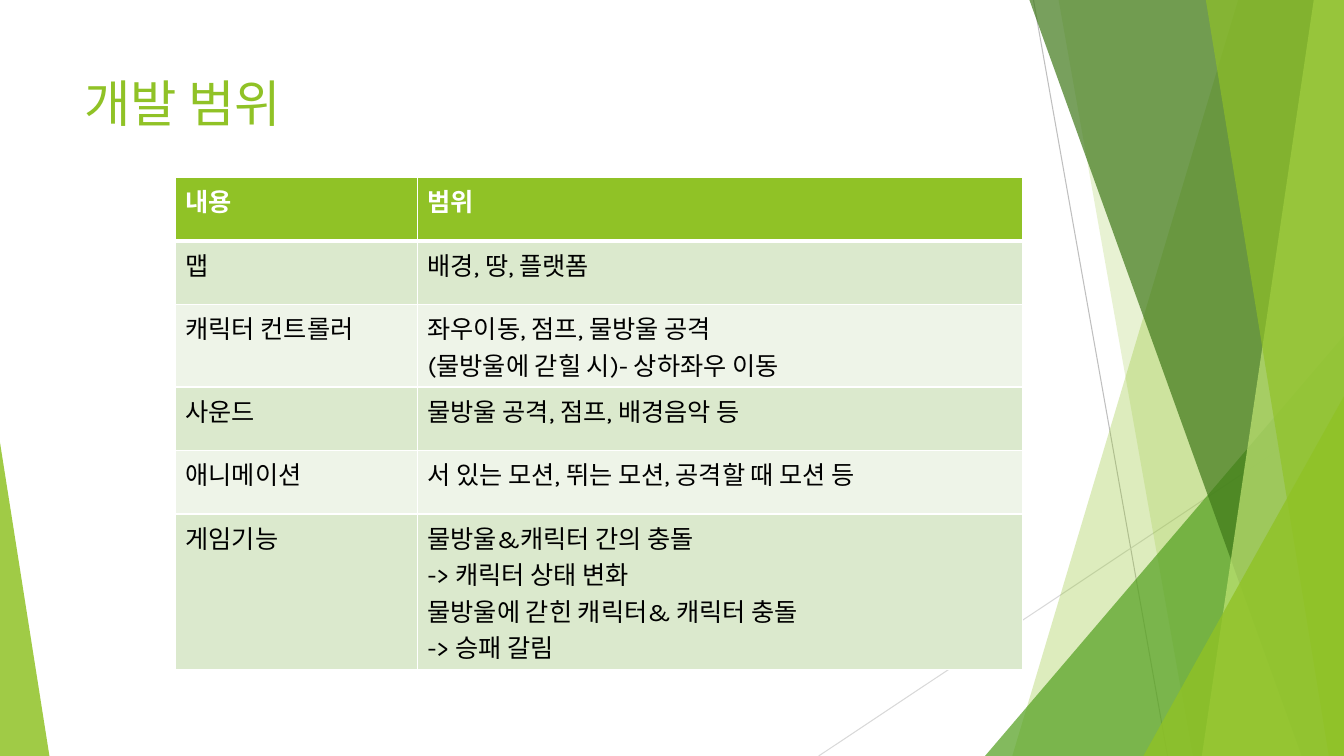
import dataclasses

import lxml.etree
import pptx
import pptx.dml.color
import pptx.enum.shapes
import pptx.oxml
import pptx.oxml.ns
import pptx.util

Inches = pptx.util.Inches
qn = pptx.oxml.ns.qn


@dataclasses.dataclass(frozen=True)
class Theme:
    font: str = "Karla"
    title_size: int = 36
    body_size: int = 18
    accent: str = "90C226"
    leaf: str = "54A021"
    forest: str = "3F7819"
    lime: str = "C0E474"
    band_dark: str = "DBE9CD"
    band_light: str = "EEF4E8"
    white: str = "FFFFFF"
    black: str = "000000"
    hairline: str = "BFBFBF"
    hairline_light: str = "D9D9D9"


THEME = Theme()
SLIDE_WIDTH, SLIDE_HEIGHT = 13.33, 7.5
SCOPE = [
    ("내용", ["범위"], 0.63),
    ("맵", ["배경, 땅, 플랫폼"], 0.63),
    ("캐릭터 컨트롤러", ["좌우이동, 점프, 물방울 공격", "(물방울에 갇힐 시)- 상하좌우 이동"], 0.82),
    ("사운드", ["물방울 공격, 점프, 배경음악 등"], 0.63),
    ("애니메이션", ["서 있는 모션, 뛰는 모션, 공격할 때 모션 등"], 0.63),
    ("게임기능", ["물방울&캐릭터 간의 충돌", "-> 캐릭터 상태 변화",
              "물방울에 갇힌 캐릭터& 캐릭터 충돌", "-> 승패 갈림"], 1.54),
]


def rgb(color):
    return pptx.dml.color.RGBColor.from_string(color)


def write_text(frame, lines, *, size, color, bold=False):
    frame.word_wrap = True
    for index, line in enumerate(lines):
        paragraph = frame.paragraphs[0] if index == 0 else frame.add_paragraph()
        run = paragraph.add_run()
        run.text = line
        run.font.name = THEME.font
        run.font.size = pptx.util.Pt(size)
        run.font.bold = bold
        run.font.color.rgb = rgb(color)


def tint(shape, color, opacity):
    shape.shadow.inherit = False
    shape.line.fill.background()
    shape.fill.solid()
    shape.fill.fore_color.rgb = rgb(color)
    swatch = shape.element.spPr.find(qn("a:solidFill")).find(qn("a:srgbClr"))
    lxml.etree.SubElement(swatch, qn("a:alpha"), val=str(opacity * 1000))


def add_hairline(slide, start, end, color):
    hairline = slide.shapes.add_connector(
        pptx.enum.shapes.MSO_CONNECTOR.STRAIGHT, *map(Inches, start + end))
    hairline.line.color.rgb = rgb(color)
    hairline.line.width = pptx.util.Pt(0.75)
    lxml.etree.SubElement(hairline.element.spPr, qn("a:effectLst"))


def add_blade(slide, box, top_x, bottom_x, color, opacity):
    left, top, width, height = box
    right, bottom = left + width, top + height
    builder = slide.shapes.build_freeform(Inches(left + top_x), Inches(top))
    corners = [(right, top), (right, bottom), (left + bottom_x, bottom)]
    builder.add_line_segments([(Inches(x), Inches(y)) for x, y in corners])
    tint(builder.convert_to_shape(), color, opacity)


def add_corner(slide, box, apex, color, opacity):
    corner = slide.shapes.add_shape(
        pptx.enum.shapes.MSO_SHAPE.ISOSCELES_TRIANGLE, *map(Inches, box))
    corner.adjustments[0] = apex
    tint(corner, color, opacity)


def add_right_corner(slide, box, width, height, color, opacity):
    left, top, box_width, box_height = box
    corner_box = (left + box_width - width, top + box_height - height, width, height)
    add_corner(slide, corner_box, 1, color, opacity)


def add_facets(slide, box):
    left, top, width, height = box
    right, bottom = left + width, top + height
    add_hairline(slide, (left + 2.13, top), (left + 3.46, bottom), THEME.hairline)
    add_hairline(slide, (right, top + 4.03), (left, bottom), THEME.hairline_light)
    add_blade(slide, box, 4.16, 1.92, THEME.accent, 30)
    add_blade(slide, box, 2.38, 3.71, THEME.accent, 20)
    add_right_corner(slide, box, 3.56, 4.17, THEME.leaf, 72)
    add_blade(slide, box, 2.09, 4.79, THEME.forest, 70)
    add_blade(slide, box, 4.91, 3.8, THEME.lime, 70)
    add_blade(slide, box, 3.84, 5.06, THEME.accent, 65)
    add_right_corner(slide, box, 1.99, 3.57, THEME.accent, 80)


def add_title(slide, box):
    title = slide.shapes.add_textbox(*map(Inches, box))
    write_text(title.text_frame, ["개발 범위"], size=THEME.title_size, color=THEME.accent)


def add_borders(cell, bottom_width):
    properties = cell._tc.get_or_add_tcPr()
    widths = {"lnL": 1, "lnR": 1, "lnT": 1, "lnB": bottom_width}
    for index, (side, width) in enumerate(widths.items()):
        border = lxml.etree.Element(qn(f"a:{side}"), w=str(pptx.util.Pt(width)))
        fill = lxml.etree.SubElement(border, qn("a:solidFill"))
        lxml.etree.SubElement(fill, qn("a:srgbClr"), val=THEME.white)
        properties.insert(index, border)


def add_scope_table(slide, box):
    table = slide.shapes.add_table(len(SCOPE), 2, *map(Inches, box)).table
    topic_width = 2.4
    table.columns[0].width = Inches(topic_width)
    table.columns[1].width = Inches(box[2] - topic_width)
    for row, (topic, details, height) in enumerate(SCOPE):
        table.rows[row].height = Inches(height)
        header = row == 0
        band = THEME.band_dark if row % 2 else THEME.band_light
        for column, lines in enumerate(([topic], details)):
            cell = table.cell(row, column)
            cell.fill.solid()
            cell.fill.fore_color.rgb = rgb(THEME.accent if header else band)
            add_borders(cell, 3 if header else 1)
            write_text(cell.text_frame, lines, size=THEME.body_size, bold=header,
                       color=THEME.white if header else THEME.black)


def main():
    presentation = pptx.Presentation()
    presentation.slide_width = Inches(SLIDE_WIDTH)
    presentation.slide_height = Inches(SLIDE_HEIGHT)
    slide = presentation.slides.add_slide(presentation.slide_layouts[6])
    add_facets(slide, (8.12, 0, SLIDE_WIDTH - 8.12, SLIDE_HEIGHT))
    add_corner(slide, (0, 4.39, 0.49, 3.11), 0, THEME.accent, 85)
    add_title(slide, (0.74, 0.67, 9.4, 1.44))
    add_scope_table(slide, (1.74, 1.76, 8.4, sum(row[2] for row in SCOPE)))
    presentation.save("out.pptx")


if __name__ == "__main__":
    main()
